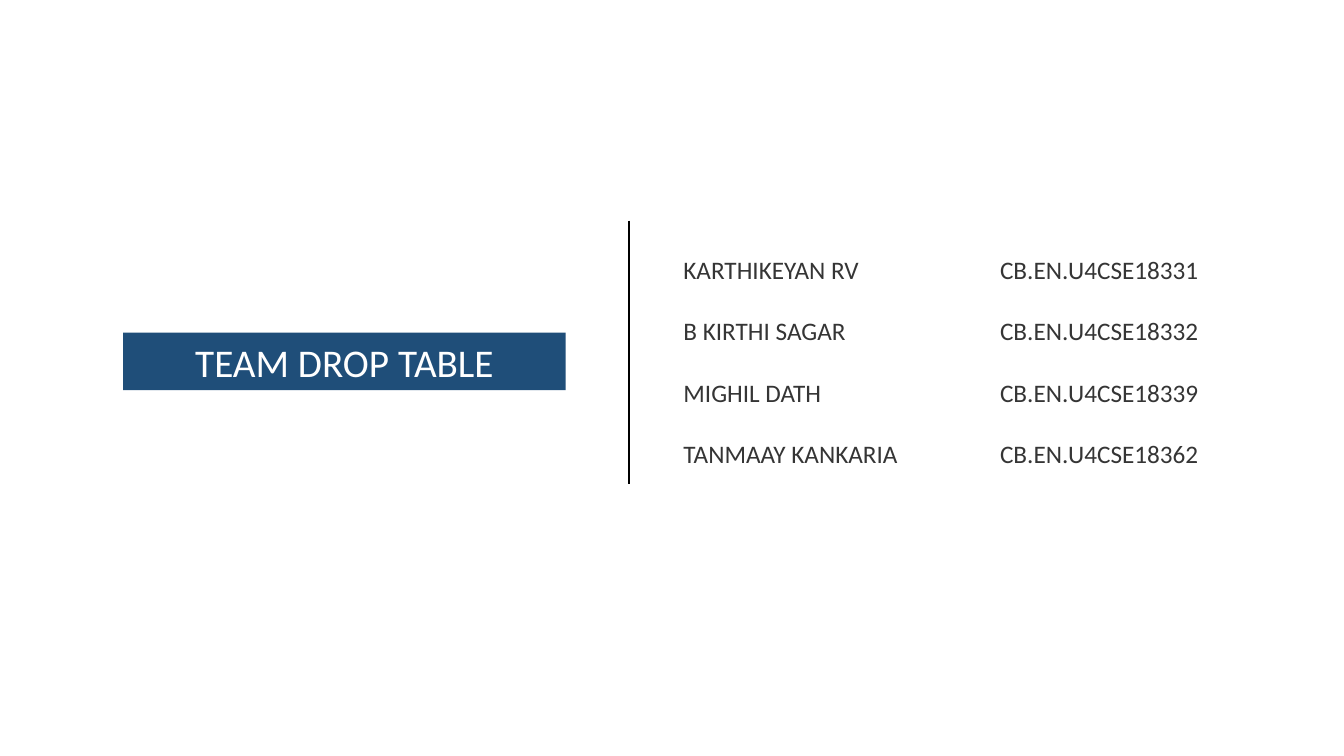
import pptx
import pptx.dml.color
import pptx.enum.shapes
import pptx.enum.text
import pptx.oxml.ns
import pptx.util
from lxml import etree

Inches = pptx.util.Inches
RGBColor = pptx.dml.color.RGBColor
Align = pptx.enum.text.PP_ALIGN

NAVY = RGBColor(0x1F, 0x4E, 0x79)
WHITE = RGBColor(0xFF, 0xFF, 0xFF)
BLACK = RGBColor(0x00, 0x00, 0x00)
CHARCOAL = RGBColor(0x35, 0x35, 0x35)

MEMBERS = [
    ("KARTHIKEYAN RV", "CB.EN.U4CSE18331"),
    ("B KIRTHI SAGAR", "CB.EN.U4CSE18332"),
    ("MIGHIL DATH", "CB.EN.U4CSE18339"),
    ("TANMAAY KANKARIA", "CB.EN.U4CSE18362"),
]


def write_text(shape, text, *, size, color, align=Align.LEFT, tab=None):
    frame = shape.text_frame
    frame.word_wrap = True
    paragraph = frame.paragraphs[0]
    paragraph.alignment = align
    if tab is not None:
        properties = paragraph._p.get_or_add_pPr()
        tabs = etree.SubElement(properties, pptx.oxml.ns.qn("a:tabLst"))
        etree.SubElement(tabs, pptx.oxml.ns.qn("a:tab"), pos=str(tab), algn="l")
    run = paragraph.add_run()
    run.text = text
    run.font.name = "Calibri"
    run.font.size = pptx.util.Pt(size)
    run.font.color.rgb = color


def add_team_banner(slide, left, top, width, height):
    banner = slide.shapes.add_shape(
        pptx.enum.shapes.MSO_SHAPE.RECTANGLE, left, top, width, height)
    banner.shadow.inherit = False
    banner.fill.solid()
    banner.fill.fore_color.rgb = NAVY
    banner.line.fill.background()
    write_text(banner, "TEAM DROP TABLE", size=28, color=WHITE, align=Align.CENTER)


def add_divider(slide, left, top, height):
    divider = slide.shapes.add_connector(
        pptx.enum.shapes.MSO_CONNECTOR.STRAIGHT, left, top, left, top + height)
    divider.line.color.rgb = BLACK
    divider.line.width = pptx.util.Pt(1)
    etree.SubElement(divider._element.spPr, pptx.oxml.ns.qn("a:effectLst"))


def add_member_list(slide, left, top, width, height):
    row_height = Inches(0.4)
    pitch = (height - row_height) // (len(MEMBERS) - 1)
    for index, (name, roll_number) in enumerate(MEMBERS):
        row = slide.shapes.add_textbox(left, top + index * pitch, width, row_height)
        write_text(row, f"{name}\t{roll_number}", size=18, color=CHARCOAL,
                   tab=Inches(3.14))


def main():
    presentation = pptx.Presentation()
    presentation.slide_width = Inches(13.33)
    presentation.slide_height = Inches(7.5)
    slide = presentation.slides.add_slide(presentation.slide_layouts[6])

    # Names and roll numbers on the right
    add_member_list(slide, Inches(6.68), Inches(2.47), Inches(5.85), Inches(2.23))
    # Team name on the left
    add_team_banner(slide, Inches(1.22), Inches(3.3), Inches(4.39), Inches(0.57))
    # Rule between the two halves
    add_divider(slide, Inches(6.24), Inches(2.19), Inches(2.61))

    presentation.save("out.pptx")


if __name__ == "__main__":
    main()
